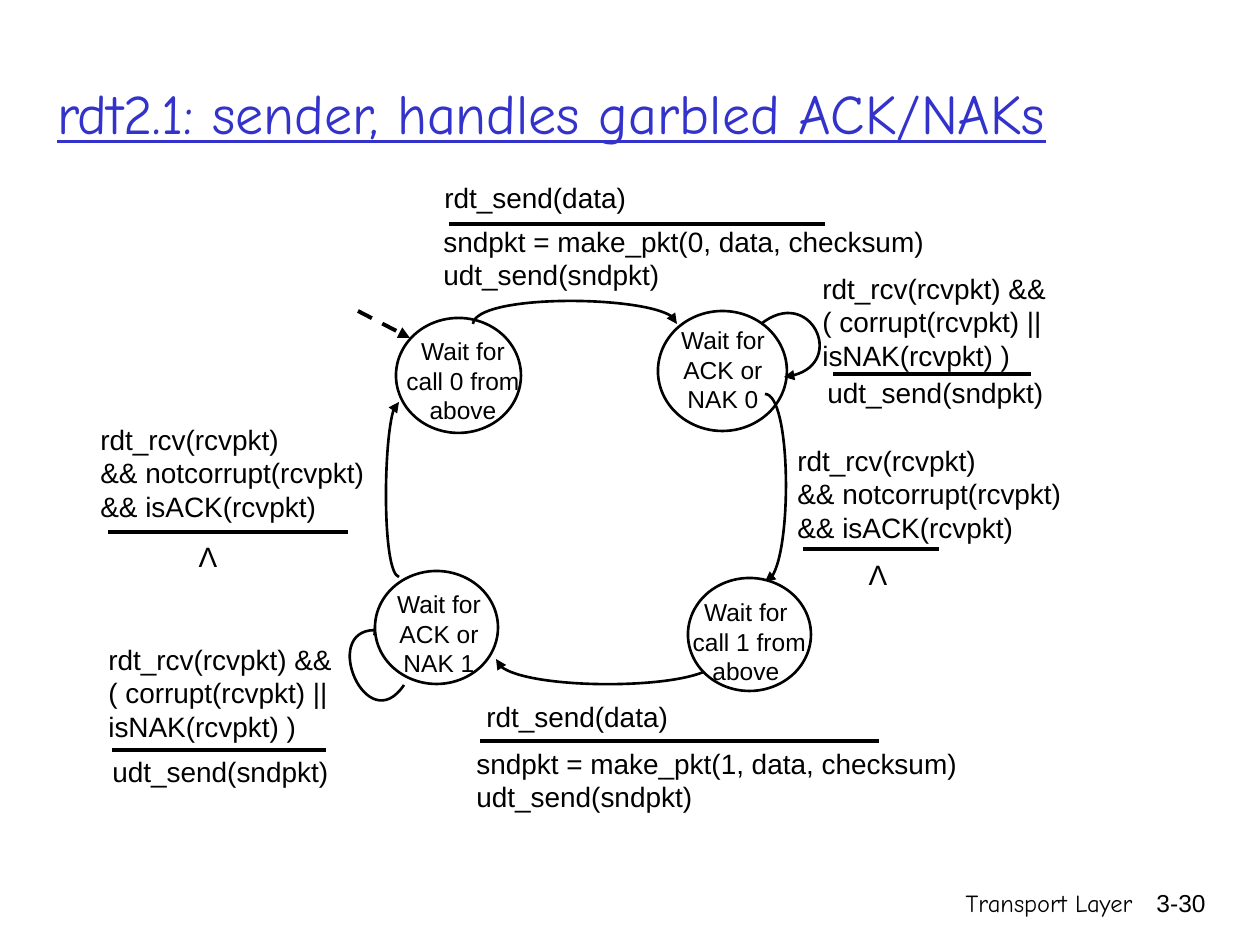
from lxml import etree
from pptx import Presentation
from pptx.dml.color import RGBColor
from pptx.enum.dml import MSO_LINE
from pptx.enum.shapes import MSO_CONNECTOR, MSO_SHAPE
from pptx.enum.text import MSO_ANCHOR, MSO_AUTO_SIZE, PP_ALIGN
from pptx.oxml import parse_xml
from pptx.oxml.ns import nsdecls, qn
from pptx.util import Emu, Pt

PX = 914400 / 126
COLORS = {"ink": "000000", "title": "3333CC", "state": "FFFFFF"}
BODY, HAND = "Arial", "Comic Neue"

TITLE = "rdt2.1: sender, handles garbled ACK/NAKs"
FOOTER = [
    ("Transport Layer", HAND, (746, 882, 399, 63)),
    ("3-30", BODY, (1125, 882, 93, 63)),
]

# circle box, text box, paragraphs
UPPER_STATES = [
    ((396, 318, 125, 115), (388, 330, 150, 84), ["Wait for call 0 from above"]),
    ((658, 311, 129, 120), (648, 319, 150, 89), ["Wait for ACK or NAK 0"]),
]
LOWER_STATES = [
    ((688, 578, 123, 113), (669, 591, 154, 84), ["Wait for", " call 1 from above"]),
    ((375, 571, 123, 113), (367, 583, 144, 84), ["Wait for ACK or NAK 1"]),
]

# start, two control points, end
TRANSITIONS = [
    [(404, 685), (367, 740), (315, 619), (384, 631)],
    [(473, 324), (476, 294), (677, 295), (677, 324)],
    [(761, 324), (810, 285), (851, 370), (784, 377)],
    [(399, 577), (382, 573), (383, 402), (399, 402)],
    [(717, 659), (717, 690), (500, 693), (496, 659)],
    [(765, 394), (791, 394), (793, 578), (765, 582)],
]
START_ARROW = ((358, 311), (410, 338))

CORRUPT = ["rdt_rcv(rcvpkt) &&", "( corrupt(rcvpkt) ||", "isNAK(rcvpkt) )"]
ACKED = ["rdt_rcv(rcvpkt)", "&& notcorrupt(rcvpkt)", "&& isACK(rcvpkt)"]
RESEND = ["udt_send(sndpkt)"]
LABELS = [
    (["rdt_send(data)"], (432, 174, 291, 42)),
    (["sndpkt = make_pkt(0, data, checksum)", *RESEND], (431, 218, 509, 55)),
    (CORRUPT, (810, 265, 353, 78)),
    (RESEND, (815, 369, 311, 55)),
    (ACKED, (785, 437, 413, 79)),
    (["rdt_send(data)"], (474, 693, 329, 39)),
    (["sndpkt = make_pkt(1, data, checksum)", *RESEND], (464, 740, 519, 55)),
    (CORRUPT, (96, 636, 277, 78)),
    (RESEND, (100, 748, 251, 38)),
    (ACKED, (88, 416, 291, 79)),
]
NO_ACTION = "Λ"
NO_ACTION_BOXES = [(856, 551, 44, 47), (186, 533, 44, 47)]
# left, right, y of the rule between event and action
RULES = [
    (449, 825, 224), (833, 1031, 374), (480, 879, 741),
    (803, 939, 549), (112, 326, 750), (108, 348, 532),
]


def emu(*values):
    return [Emu(round(value * PX)) for value in values]


def color(name):
    return RGBColor.from_string(COLORS[name])


def add_text(page, paragraphs, place, size=16, font=BODY, ink="ink",
             align=PP_ALIGN.LEFT, underline=False, wrap=True):
    box = page.shapes.add_textbox(*emu(*place))
    frame = box.text_frame
    frame.word_wrap = wrap
    frame.auto_size = MSO_AUTO_SIZE.NONE if wrap else MSO_AUTO_SIZE.SHAPE_TO_FIT_TEXT
    for index, text in enumerate(paragraphs):
        para = frame.paragraphs[0] if index == 0 else frame.add_paragraph()
        para.alignment = align
        span = para.add_run()
        span.text = text
        span.font.size = Pt(size)
        span.font.name = font
        span.font.color.rgb = color(ink)
        if underline:
            span.font.underline = True
    return frame


def ink_line(shape, width, arrow=False):
    shape.line.color.rgb = color("ink")
    shape.line.width = Pt(width)
    if arrow:
        shape.line._get_or_add_ln().append(
            parse_xml(f'<a:tailEnd {nsdecls("a")} type="triangle"/>'))


def add_line(page, start, end):
    line = page.shapes.add_connector(MSO_CONNECTOR.STRAIGHT, *emu(*start, *end))
    etree.SubElement(line._element.spPr, qn("a:effectLst"))
    return line


def add_state(page, circle, text_place, paragraphs):
    state = page.shapes.add_shape(MSO_SHAPE.OVAL, *emu(*circle))
    state.shadow.inherit = False
    state.fill.solid()
    state.fill.fore_color.rgb = color("state")
    ink_line(state, 1.5)
    add_text(page, paragraphs, text_place, 14, align=PP_ALIGN.CENTER)


def bezier(points, t):
    weights = ((1 - t) ** 3, 3 * t * (1 - t) ** 2, 3 * t * t * (1 - t), t ** 3)
    return tuple(sum(w * p[axis] for w, p in zip(weights, points)) for axis in (0, 1))


def add_curve(page, points):
    """Size a freeform to the curve's true extent, then make it one cubic segment."""
    trace = [emu(*bezier(points, step / 24)) for step in range(25)]
    builder = page.shapes.build_freeform(*trace[0], scale=1.0)
    builder.add_line_segments(trace[1:], close=False)
    curve = builder.convert_to_shape()
    outline = next(curve._element.iter(qn("a:path")))
    for segment in outline.findall(qn("a:lnTo")):
        outline.remove(segment)
    cubic = etree.SubElement(outline, qn("a:cubicBezTo"))
    for point in points[1:]:
        x, y = emu(*point)
        etree.SubElement(cubic, qn("a:pt"), x=str(x - curve.left), y=str(y - curve.top))
    curve.shadow.inherit = False
    curve.fill.background()
    ink_line(curve, 1.5, arrow=True)


def main():
    deck = Presentation()
    deck.slide_width, deck.slide_height = emu(1260, 945)
    page = deck.slides.add_slide(deck.slide_layouts[6])

    for text, font, place in FOOTER:
        add_text(page, [text], place, 14, font, align=PP_ALIGN.RIGHT)
    title = add_text(page, [TITLE], (45, 33, 1140, 158), 32, HAND, "title", underline=True)
    title.vertical_anchor = MSO_ANCHOR.MIDDLE

    for state in UPPER_STATES:
        add_state(page, *state)
    for points in TRANSITIONS:
        add_curve(page, points)
    for state in LOWER_STATES:
        add_state(page, *state)

    start = add_line(page, *START_ARROW)
    start.line.dash_style = MSO_LINE.DASH
    ink_line(start, 2.25, arrow=True)
    for left, right, y in RULES:
        ink_line(add_line(page, (left, y), (right, y)), 2.25)

    for paragraphs, place in LABELS:
        add_text(page, paragraphs, place)
    for place in NO_ACTION_BOXES:
        add_text(page, [NO_ACTION], place, align=PP_ALIGN.CENTER, wrap=False)

    deck.save("out.pptx")


if __name__ == "__main__":
    main()
